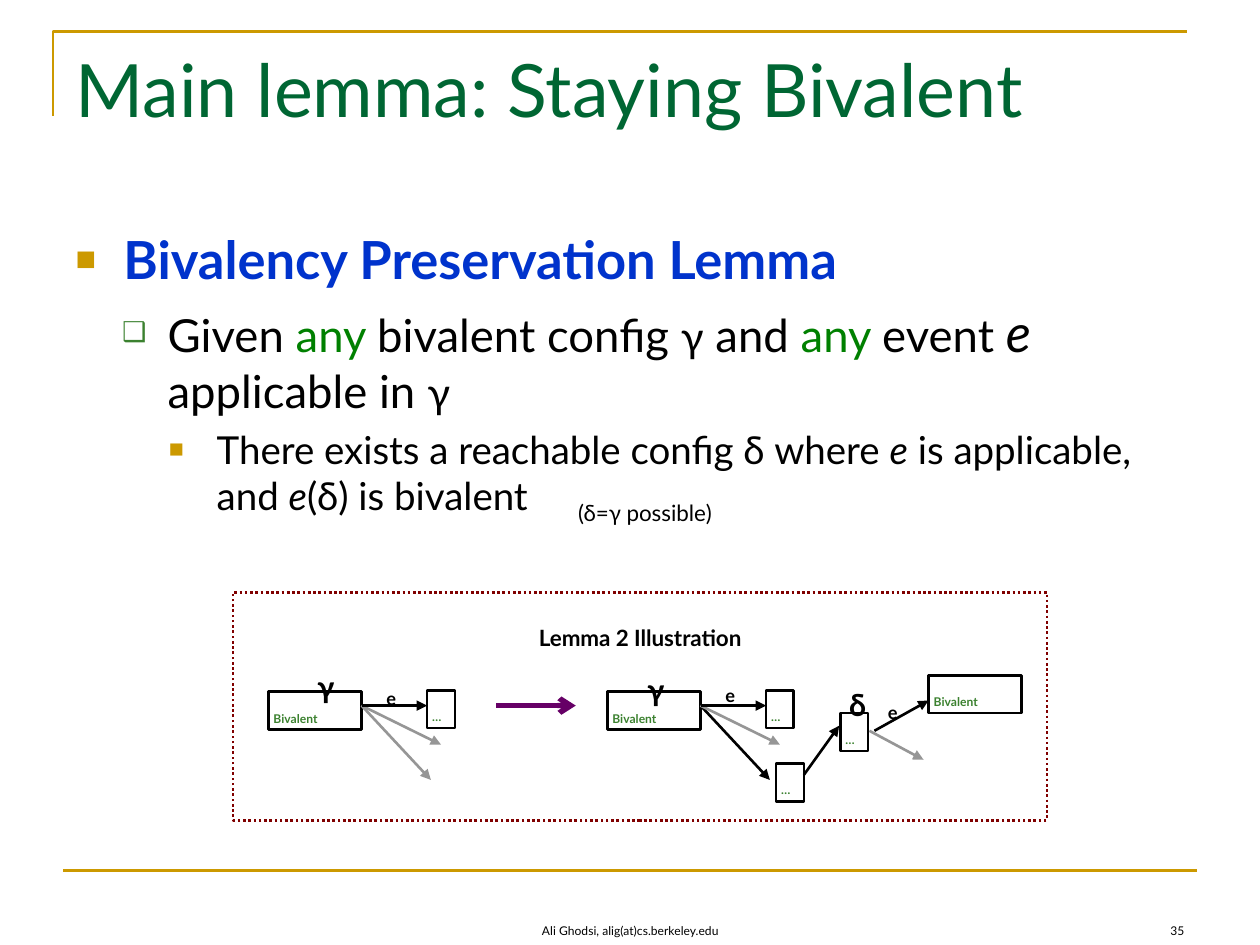
from lxml import etree
from pptx import Presentation
from pptx.dml.color import RGBColor
from pptx.enum.dml import MSO_LINE
from pptx.enum.shapes import MSO_CONNECTOR, MSO_SHAPE
from pptx.enum.text import MSO_ANCHOR, MSO_AUTO_SIZE, PP_ALIGN
from pptx.oxml.ns import qn
from pptx.util import Inches, Pt

STRAIGHT = MSO_CONNECTOR.STRAIGHT
RECTANGLE = MSO_SHAPE.RECTANGLE
DOTTED = MSO_LINE.ROUND_DOT
TOP, BOTTOM = MSO_ANCHOR.TOP, MSO_ANCHOR.BOTTOM
NO_FIT = MSO_AUTO_SIZE.NONE
LEFT, CENTER, RIGHT = PP_ALIGN.LEFT, PP_ALIGN.CENTER, PP_ALIGN.RIGHT

FONT = "Lato"
BLACK, WHITE, GRAY = "000000", "FFFFFF", "969696"
GOLD, GREEN, LEAF = "CC9900", "3B812F", "008000"


def color(value):
    return RGBColor.from_string(value)


def place(shape, left, top, width, height):
    shape.left, shape.top = Inches(left), Inches(top)
    shape.width, shape.height = Inches(width), Inches(height)


def add_span(para, text, size=12, ink=BLACK, bold=False, italic=False, lowered=False):
    span = para.add_run()
    span.text = text
    span.font.name = FONT
    span.font.size = Pt(size)
    span.font.color.rgb = color(ink)
    span.font.bold = bold
    span.font.italic = italic
    if lowered:
        span.font._element.set("baseline", "-25000")


def set_frame(shape, anchor=TOP, wrap=True, insets=(0.1, 0.05)):
    frame = shape.text_frame
    frame.auto_size = NO_FIT
    frame.word_wrap = wrap
    frame.vertical_anchor = anchor
    frame.margin_left = frame.margin_right = Inches(insets[0])
    frame.margin_top = frame.margin_bottom = Inches(insets[1])
    return frame


def add_label(page, text, left, top, width, height, align=LEFT, anchor=TOP,
              wrap=True, insets=(0.1, 0.05), **style):
    box = page.shapes.add_textbox(0, 0, 0, 0)
    place(box, left, top, width, height)
    para = set_frame(box, anchor, wrap, insets).paragraphs[0]
    para.alignment = align
    add_span(para, text, lowered=True, **style)


def add_box(page, text, left, top, width, height, fill=WHITE, line=BLACK,
            dash=None, align=LEFT, wrap=False, insets=(0.04, 0.04), **style):
    box = page.shapes.add_shape(RECTANGLE, 0, 0, 0, 0)
    place(box, left, top, width, height)
    box.shadow.inherit = False
    if fill:
        box.fill.solid()
        box.fill.fore_color.rgb = color(fill)
    else:
        box.fill.background()
    box.line.color.rgb = color(line)
    box.line.width = Pt(1.5)
    if dash:
        box.line.dash_style = dash
    para = set_frame(box, TOP, wrap, insets).paragraphs[0]
    para.alignment = align
    add_span(para, text, lowered=True, **style)


def add_line(page, start, end, ink=BLACK, width=1.5, head=None):
    line = page.shapes.add_connector(STRAIGHT, *map(Inches, start + end))
    line.line.color.rgb = color(ink)
    line.line.width = Pt(width)
    properties = line._element.spPr
    if head:
        etree.SubElement(properties.find(qn("a:ln")), qn("a:tailEnd"), type=head)
    etree.SubElement(properties, qn("a:effectLst"))


def add_bullet(para, char, ink, percent, indent, hanging):
    properties = para._p.get_or_add_pPr()
    properties.set("marL", str(Inches(indent)))
    properties.set("indent", str(-Inches(hanging)))
    bullet_color = etree.SubElement(properties, qn("a:buClr"))
    etree.SubElement(bullet_color, qn("a:srgbClr"), val=ink)
    etree.SubElement(properties, qn("a:buSzPct"), val=str(percent * 1000))
    etree.SubElement(properties, qn("a:buChar"), char=char)


def add_decoration(page, left, top, width):
    corner = page.shapes.build_freeform(Inches(left), Inches(top + 0.67))
    corner.add_line_segments(
        [(Inches(left), Inches(top)), (Inches(left + width), Inches(top))], close=False)
    outline = corner.convert_to_shape()
    outline.shadow.inherit = False
    outline.fill.background()
    outline.line.color.rgb = color(GOLD)
    outline.line.width = Pt(1.5)
    add_line(page, (left + 0.08, 6.91), (left + 0.08 + width, 6.91), GOLD)


def add_footer(page, left, top, width, height):
    add_label(page, "Ali Ghodsi, alig(at)cs.berkeley.edu", left + 2.92, top, 3.17, height,
              align=CENTER, anchor=BOTTOM)
    add_label(page, "35", left + width - 2.33, top, 2.33, height,
              align=RIGHT, anchor=BOTTOM)


def fill_title(page, left, top, width, height):
    title = page.shapes.title
    place(title, left, top, width, height)
    para = set_frame(title).paragraphs[0]
    para.alignment = LEFT
    add_span(para, "Main lemma: Staying Bivalent", size=42, ink="006633")


def fill_body(page, left, top, width, height):
    italic = {"italic": True}
    any_word = ("any ", {"ink": LEAF})
    levels = [
        (("■", GOLD, 65, 0.38, 0.38), 30, [
            ("Bivalency Preservation Lemma", {"ink": "0033CC", "bold": True})]),
        (("❑", GREEN, 60, 0.73, 0.36), 26, [
            ("Given ", {}), any_word, ("bivalent config ", {}), ("γ", {"size": 24}),
            (" and ", {}), any_word, ("event ", {}), ("e", {"size": 30, "italic": True}),
            (" applicable in ", {}), ("γ", {"size": 24})]),
        (("■", GOLD, 65, 1.12, 0.38), 22, [
            ("There exists a reachable config δ where ", {}), ("e", italic),
            (" is applicable, and ", {}), ("e", italic), ("(δ) is bivalent", {})]),
    ]
    body = page.placeholders[1]
    place(body, left, top, width, height)
    frame = set_frame(body)
    for level, (bullet, size, spans) in enumerate(levels):
        para = frame.add_paragraph() if level else frame.paragraphs[0]
        para.level = level
        add_bullet(para, *bullet)
        for text, style in spans:
            add_span(para, text, **{"size": size, **style})


def add_state(page, text, left, top):
    width = 0.22 if text == "…" else 0.74
    add_box(page, text, left, top, width, 0.3, ink=GREEN, bold=True)


def add_event(page, left, top):
    add_label(page, "e", left, top, 0.39, 0.3, align=CENTER, insets=(0, 0),
              size=18, bold=True)


def add_config_name(page, text, left, top):
    add_label(page, text, left, top, 0.32, 0.43, wrap=False, size=30, bold=True)


def add_fan(page, left, top, steep_ink, event_top):
    add_state(page, "Bivalent", left - 0.74, top - 0.11)
    add_state(page, "…", left + 0.52, top - 0.12)
    for across, down, ink in [(0.55, 0.59, steep_ink), (0.63, 0.31, GRAY), (0.52, 0, BLACK)]:
        add_line(page, (left, top), (left + across, top + down), ink, head="triangle")
    add_event(page, left + 0.04, event_top)


def add_illustration(page, left, top, width, height):
    middle = top + 0.9
    add_fan(page, left + 1.02, middle, GRAY, top + 0.59)
    add_fan(page, left + 3.71, middle, BLACK, top + 0.56)
    add_line(page, (left + 2.09, middle), (left + 2.72, middle), "660066", 3, "arrow")
    add_state(page, "…", left + 4.31, top + 1.36)
    add_state(page, "…", left + 4.82, top + 0.96)
    add_state(page, "Bivalent", left + 5.52, top + 0.66)
    for start, end, ink in [((4.53, 1.45), (4.81, 1.06), BLACK),
                            ((5.05, 1.1), (5.48, 1.33), GRAY),
                            ((5.09, 1.1), (5.52, 0.86), BLACK)]:
        add_line(page, (left + start[0], top + start[1]),
                 (left + end[0], top + end[1]), ink, head="triangle")
    add_event(page, left + 5.04, top + 0.7)
    for text, across, down in [("γ", 0.57, 0.27), ("γ", 3.19, 0.3), ("δ", 4.79, 0.42)]:
        add_config_name(page, text, left + across, top + down)
    add_box(page, "Lemma 2 Illustration", left, top, width, height, fill=None,
            line="800000", dash=DOTTED, align=CENTER, wrap=True, insets=(0.1, 0.05),
            size=22, bold=True)


def build_slide(deck):
    page = deck.slides.add_slide(deck.slide_layouts[1])
    add_decoration(page, 0.42, 0.25, 9)
    add_footer(page, 0.5, 6.99, 9, 0.5)
    fill_title(page, 0.5, 0.3, 9, 1.25)
    fill_body(page, 0.5, 1.75, 9, 5.15)
    add_illustration(page, 1.85, 4.7, 6.46, 1.81)
    add_label(page, "(δ=γ possible)", 4.49, 3.71, 2.76, 0.47, size=22)


deck = Presentation()
deck.slide_width, deck.slide_height = Inches(10), Inches(7.5)
build_slide(deck)
deck.save("out.pptx")
